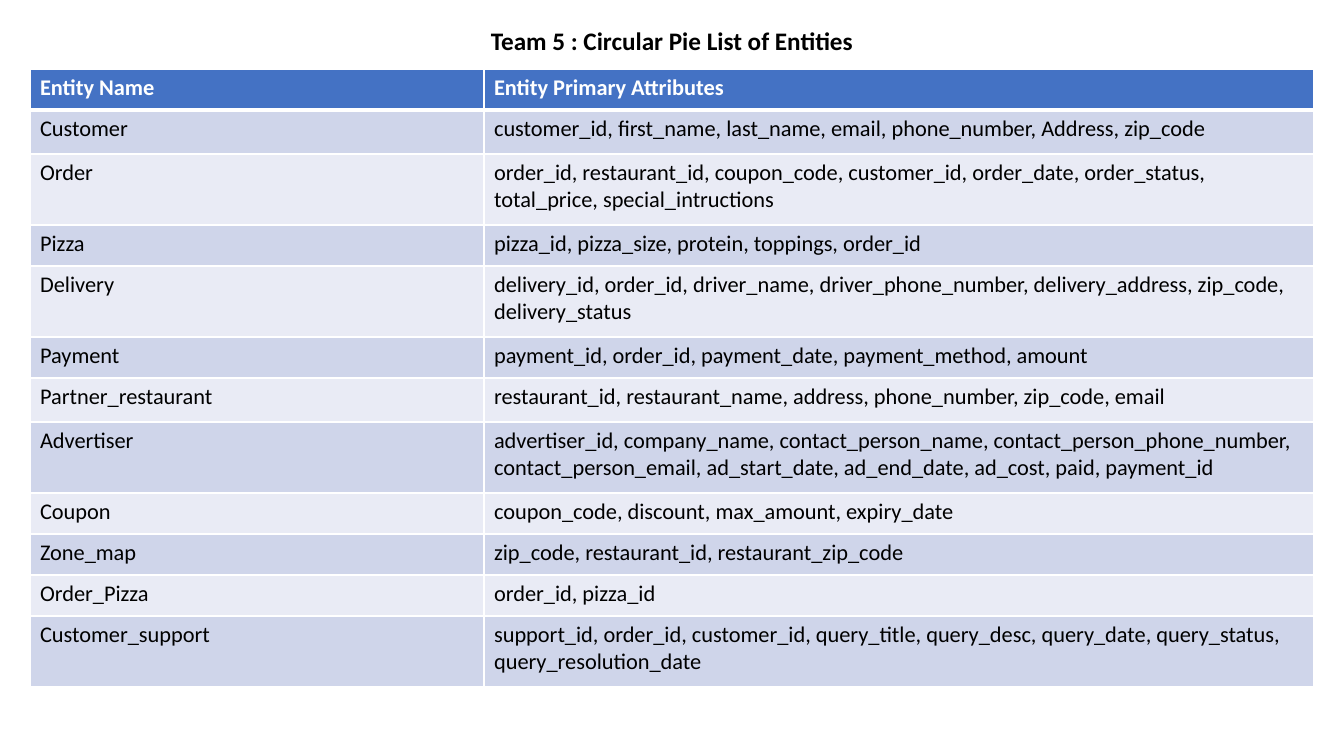
from dataclasses import dataclass

from lxml.etree import SubElement
from pptx import Presentation
from pptx.dml.color import RGBColor as Color
from pptx.enum.text import PP_ALIGN as Align
from pptx.oxml.ns import qn
from pptx.util import Emu, Pt


@dataclass(frozen=True)
class Theme:
    font: str = "Calibri"
    title_size: int = 18
    table_size: int = 16
    ink: str = "000000"
    header_ink: str = "FFFFFF"
    header_fill: str = "4472C4"
    bands: tuple = ("CFD5EA", "E9EBF5")
    rule: str = "FFFFFF"
    thin: int = 1
    thick: int = 3


def px(length):
    return Emu(round(length * 914400 / 100.8))


class SlideBuilder:
    def __init__(self, slide, theme):
        self.slide = slide
        self.theme = theme

    def style(self, paragraph, size, color, bold):
        font = paragraph.font
        font.name = self.theme.font
        font.size = Pt(size)
        font.bold = bold
        font.color.rgb = Color.from_string(color)

    def title(self, text, left, top, width, height):
        box = self.slide.shapes.add_textbox(px(left), px(top), px(width), px(height))
        box.text_frame.word_wrap = True
        paragraph = box.text_frame.paragraphs[0]
        paragraph.text = text
        paragraph.alignment = Align.CENTER
        self.style(paragraph, self.theme.title_size, self.theme.ink, True)

    def borders(self, cell, top, bottom):
        properties = cell._tc.get_or_add_tcPr()
        widths = {"L": self.theme.thin, "R": self.theme.thin, "T": top, "B": bottom}
        for side, width in widths.items():
            line = SubElement(properties, qn(f"a:ln{side}"), w=str(Pt(width)))
            fill = SubElement(line, qn("a:solidFill"))
            SubElement(fill, qn("a:srgbClr"), val=self.theme.rule)

    def cell(self, cell, text, row):
        theme = self.theme
        is_header = row == 0
        self.borders(
            cell,
            theme.thick if row == 1 else theme.thin,
            theme.thick if is_header else theme.thin,
        )
        band = theme.header_fill if is_header else theme.bands[(row - 1) % 2]
        cell.fill.solid()
        cell.fill.fore_color.rgb = Color.from_string(band)
        paragraph = cell.text_frame.paragraphs[0]
        paragraph.text = text
        ink = theme.header_ink if is_header else theme.ink
        self.style(paragraph, theme.table_size, ink, is_header)

    def table(self, rows, left, top, column_widths):
        heights = [height for height, *_ in rows]
        table = self.slide.shapes.add_table(
            len(rows), len(column_widths), px(left), px(top),
            px(sum(column_widths)), px(sum(heights)),
        ).table
        for column, width in zip(table.columns, column_widths):
            column.width = px(width)
        for index, (height, *texts) in enumerate(rows):
            table.rows[index].height = px(height)
            for column, text in enumerate(texts):
                self.cell(table.cell(index, column), text, index)


SINGLE, ROOMY, DOUBLE = 41, 44, 71
ENTITIES = [
    (SINGLE, "Entity Name", "Entity Primary Attributes"),
    (ROOMY, "Customer",
     "customer_id, first_name, last_name, email, phone_number, Address, zip_code"),
    (DOUBLE, "Order",
     "order_id, restaurant_id, coupon_code, customer_id, order_date, order_status, "
     "total_price, special_intructions"),
    (SINGLE, "Pizza", "pizza_id, pizza_size, protein, toppings, order_id"),
    (DOUBLE, "Delivery",
     "delivery_id, order_id, driver_name, driver_phone_number, delivery_address, "
     "zip_code, delivery_status"),
    (SINGLE, "Payment", "payment_id, order_id, payment_date, payment_method, amount"),
    (ROOMY, "Partner_restaurant",
     "restaurant_id, restaurant_name, address, phone_number, zip_code, email"),
    (DOUBLE, "Advertiser",
     "advertiser_id, company_name, contact_person_name, "
     "contact_person_phone_number, contact_person_email, ad_start_date, "
     "ad_end_date, ad_cost, paid, payment_id"),
    (SINGLE, "Coupon", "coupon_code, discount, max_amount, expiry_date"),
    (SINGLE, "Zone_map", "zip_code, restaurant_id, restaurant_zip_code"),
    (SINGLE, "Order_Pizza", "order_id, pizza_id"),
    (DOUBLE, "Customer_support",
     "support_id, order_id, customer_id, query_title, query_desc, query_date, "
     "query_status, query_resolution_date"),
]

deck = Presentation()
deck.slide_width, deck.slide_height = px(1344), px(756)
entity_slide = SlideBuilder(deck.slides.add_slide(deck.slide_layouts[6]), Theme())
entity_slide.title("Team 5 : Circular Pie List of Entities", 473, 20, 398, 37)
entity_slide.table(ENTITIES, 30, 69, (454, 830))
deck.save("out.pptx")
